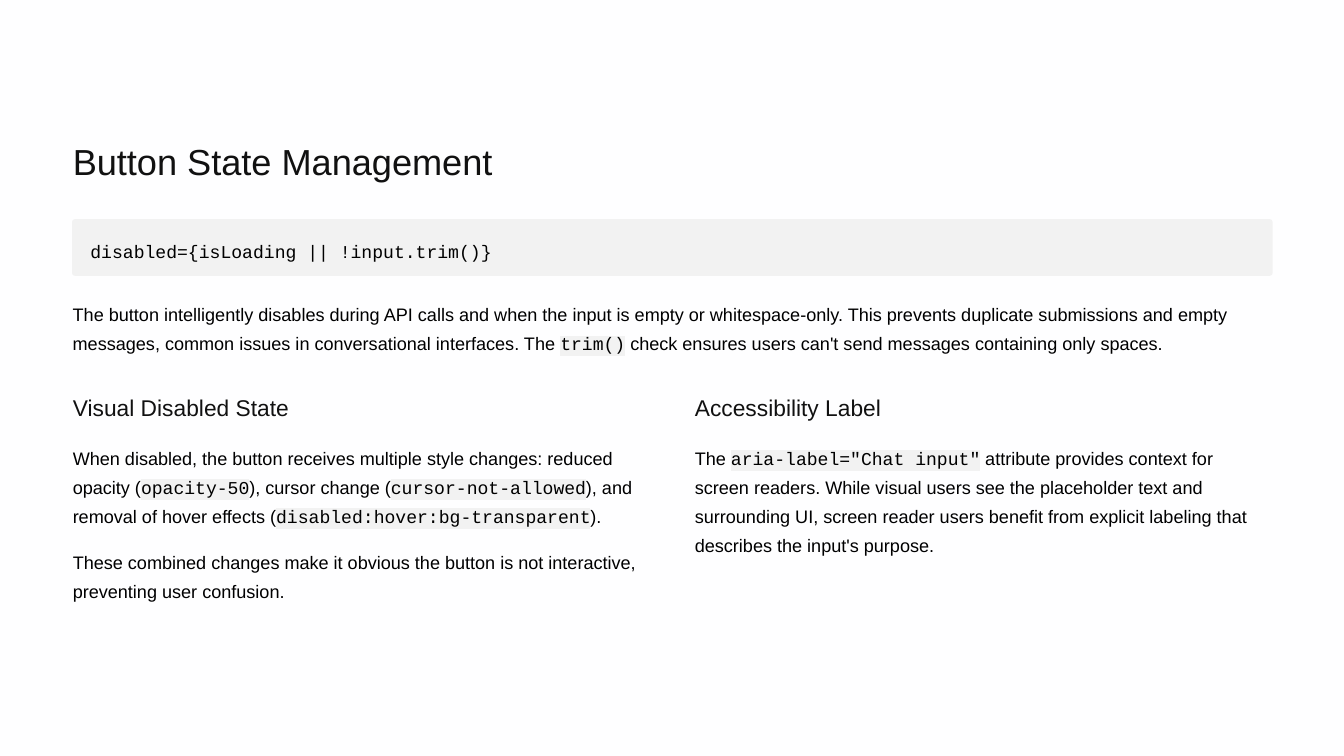
from dataclasses import dataclass

import lxml.etree
import pptx
import pptx.dml.color
import pptx.enum.shapes
import pptx.enum.text
import pptx.oxml.ns
import pptx.util

Cm, Pt = pptx.util.Cm, pptx.util.Pt
SHAPE = pptx.enum.shapes.MSO_SHAPE
qn = pptx.oxml.ns.qn

# Backticks mark inline code.
TITLE = "Button State Management"
CODE = "disabled={isLoading || !input.trim()}"
INTRO = (
    "The button intelligently disables during API calls and when the input is "
    "empty or whitespace-only. This prevents duplicate submissions and empty "
    "messages, common issues in conversational interfaces. The `trim()` check "
    "ensures users can't send messages containing only spaces."
)
COLUMNS = [
    ("Visual Disabled State", [
        "When disabled, the button receives multiple style changes: reduced "
        "opacity (`opacity-50`), cursor change (`cursor-not-allowed`), and "
        "removal of hover effects (`disabled:hover:bg-transparent`).",
        "These combined changes make it obvious the button is not "
        "interactive, preventing user confusion.",
    ]),
    ("Accessibility Label", [
        'The `aria-label="Chat input"` attribute provides context for screen '
        "readers. While visual users see the placeholder text and surrounding "
        "UI, screen reader users benefit from explicit labeling that "
        "describes the input's purpose.",
    ]),
]


@dataclass(frozen=True)
class Style:
    size: float
    pitch: float
    color: str
    font: str = "Arial"


@dataclass(frozen=True)
class Theme:
    base: str = "FDFBFF"
    veil: str = "FFFFFF"
    cover: int = 95
    panel: str = "F2F2F2"
    mono: str = "Courier New"
    title: Style = Style(31, 39, "111111")
    head: Style = Style(19.5, 24, "111111")
    body: Style = Style(15.5, 25, "000000")
    code: Style = Style(15.5, 25, "000000", "Courier New")
    gap: float = 14.4


THEME = Theme()
PAGE = (40.64, 22.86)
LEFT, WIDTH, GAP = 2.2, 36.22, 1.4
COL = (WIDTH - GAP) / 2


def rgb(code):
    return pptx.dml.color.RGBColor.from_string(code)


def place(shape, left, top, width, height):
    shape.left, shape.top = Cm(left), Cm(top)
    shape.width, shape.height = Cm(width), Cm(height)


def add_block(slide, kind, color, *box):
    block = slide.shapes.add_shape(kind, 0, 0, 0, 0)
    place(block, *box)
    block.shadow.inherit = False
    block.fill.solid()
    block.fill.fore_color.rgb = rgb(color)
    block.line.fill.background()
    return block


def add_ground(slide):
    """Lay the base and a veil over it behind all else."""
    layers = [(THEME.base, 100), (THEME.veil, THEME.cover)]
    for level, (color, cover) in enumerate(layers):
        layer = add_block(slide, SHAPE.RECTANGLE, color, 0, 0, *PAGE)
        if cover < 100:
            tint = layer._element.spPr.find(qn("a:solidFill"))[0]
            lxml.etree.SubElement(tint, qn("a:alpha"), val=str(cover * 1000))
        slide.shapes._spTree.insert(2 + level, layer._element)


def mark(run):
    """Set a run as inline code on a tinted ground."""
    props = run._r.get_or_add_rPr()
    light = lxml.etree.SubElement(props, qn("a:highlight"))
    lxml.etree.SubElement(light, qn("a:srgbClr"), val=THEME.panel)
    run.font.name = THEME.mono


def write(shape, texts, style, inset=0.0, middle=False):
    frame = shape.text_frame
    frame.word_wrap = True
    frame.auto_size = pptx.enum.text.MSO_AUTO_SIZE.NONE
    anchor = pptx.enum.text.MSO_ANCHOR
    frame.vertical_anchor = anchor.MIDDLE if middle else anchor.TOP
    frame.margin_left = frame.margin_right = Cm(inset)
    frame.margin_top = frame.margin_bottom = 0
    for row, text in enumerate(texts):
        para = frame.add_paragraph() if row else frame.paragraphs[0]
        props = para._p.get_or_add_pPr()
        props.set("marL", "0")
        props.set("indent", "0")
        lxml.etree.SubElement(props, qn("a:buNone"))
        para.alignment = pptx.enum.text.PP_ALIGN.LEFT
        para.line_spacing = Pt(style.pitch)
        para.space_before = Pt(THEME.gap if row else 0)
        para.font.name = style.font
        para.font.size = Pt(style.size)
        para.font.bold = False
        para.font.color.rgb = rgb(style.color)
        for part, piece in enumerate(text.split("`")):
            run = para.add_run()
            run.text = piece
            if part % 2:
                mark(run)


def add_code(slide):
    box = (LEFT - 0.02, 6.63, WIDTH + 0.08, 1.71)
    panel = add_block(slide, SHAPE.ROUNDED_RECTANGLE, THEME.panel, *box)
    panel.adjustments[0] = 0.05
    write(panel, [CODE], THEME.code, inset=0.53, middle=True)


def main():
    deck = pptx.Presentation()
    deck.slide_width, deck.slide_height = map(Cm, PAGE)
    layout = deck.slide_layouts.get_by_name("Comparison")
    slide = deck.slides.add_slide(layout)
    title, *slots = slide.placeholders

    add_ground(slide)
    place(title, LEFT, 4.14, WIDTH, 1.37)
    write(title, [TITLE], THEME.title)
    add_code(slide)
    intro = slide.shapes.add_textbox(0, 0, 0, 0)
    place(intro, LEFT, 8.95, WIDTH, 1.76)
    write(intro, [INTRO], THEME.body)

    pairs = zip(slots[::2], slots[1::2])
    for col, ((name, texts), (head, body)) in enumerate(zip(COLUMNS, pairs)):
        left = LEFT + col * (COL + GAP)
        place(head, left, 11.89, COL, 0.86)
        write(head, [name], THEME.head)
        place(body, left, 13.29, COL, 4.9)
        write(body, texts, THEME.body)

    deck.save("out.pptx")


if __name__ == "__main__":
    main()
